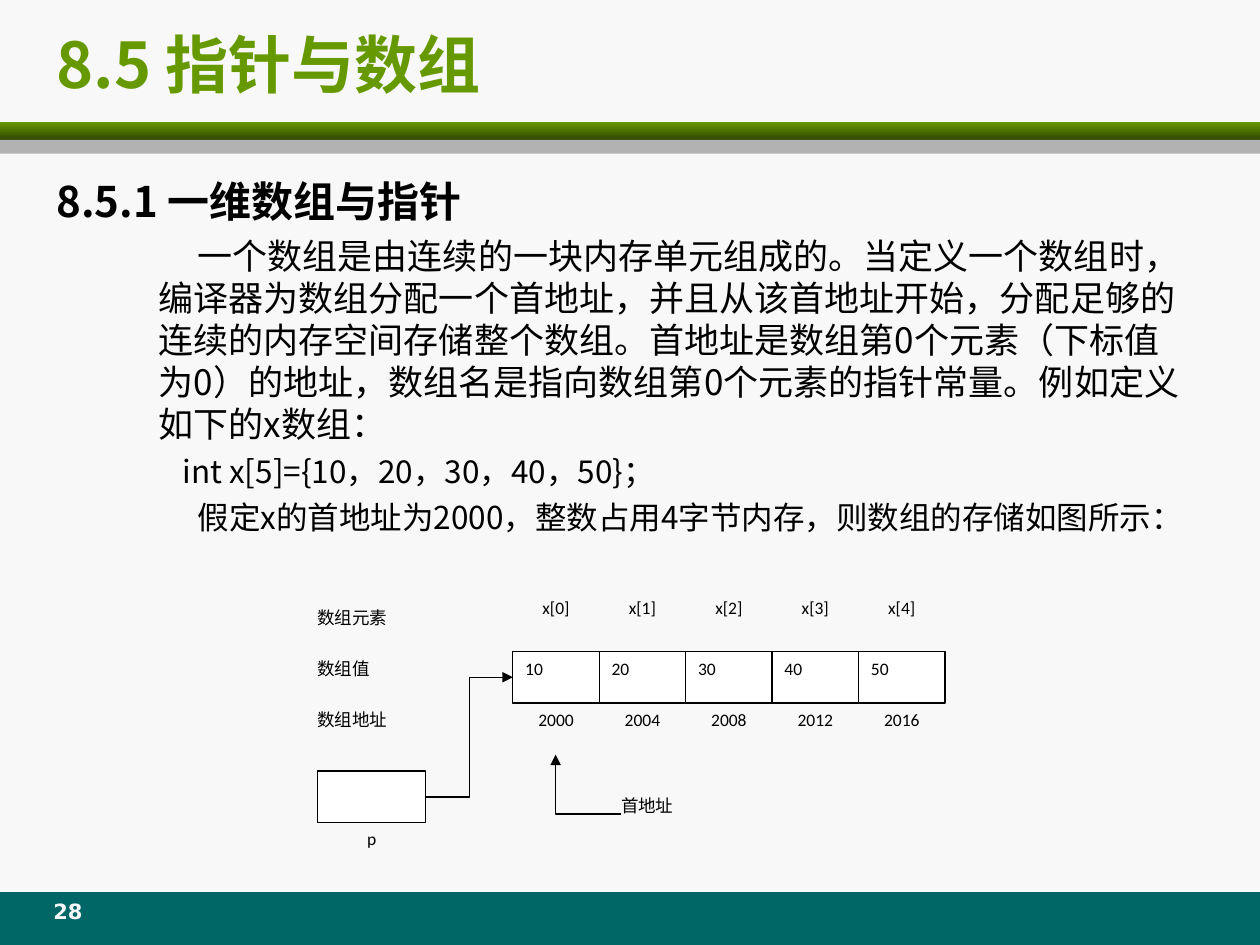
from lxml import etree
from pptx import Presentation
from pptx.dml.color import RGBColor
from pptx.enum.shapes import MSO_CONNECTOR as Connector, MSO_SHAPE as Shape
from pptx.enum.text import MSO_ANCHOR as Anchor, PP_ALIGN as Align
from pptx.oxml.ns import qn
from pptx.util import Inches, Pt

COLORS = {
    "background": "F8F8F8", "footer": "006666", "green": "669900",
    "dark_green": "2F4700", "gray": "B2B2B2", "black": "000000", "white": "FFFFFF",
}
CJK_FONT = "Noto Sans CJK SC"
CELL_LEFT, CELL_WIDTH, ROW_HEIGHT = 4.07, 0.686, 0.41
LABEL_LEFT, LABEL_WIDTH = 2.52, 0.86
VALUE_TOP, ADDRESS_TOP = 5.17, 5.58


def color(name):
    return RGBColor.from_string(COLORS[name])


def add_rectangle(slide, left, top, width, height, fill, line=None):
    shape = slide.shapes.add_shape(
        Shape.RECTANGLE, Inches(left), Inches(top), Inches(width), Inches(height))
    shape.shadow.inherit = False
    shape.fill.solid()
    shape.fill.fore_color.rgb = color(fill)
    if line:
        shape.line.color.rgb = color(line)
        shape.line.width = Pt(0.75)
    else:
        shape.line.fill.background()
    return shape


def add_gradient_bar(slide, left, top, width, height, colors):
    bar = add_rectangle(slide, left, top, width, height, colors[0])
    bar.fill.gradient()
    bar.fill.gradient_angle = 270
    for stop, name in zip(bar.fill.gradient_stops, colors):
        stop.color.rgb = color(name)


def add_textbox(slide, left, top, width, height, side_inset=0.1):
    box = slide.shapes.add_textbox(
        Inches(left), Inches(top), Inches(width), Inches(height))
    box.text_frame.word_wrap = True
    box.text_frame.margin_left = box.text_frame.margin_right = Inches(side_inset)
    return box


def write(paragraph, text, size=10, font="Calibri", east_asian=CJK_FONT,
          fill="black", bold=False, align=None, left=0, indent=0,
          before=0, line_height=None):
    """Fill a paragraph; left and indent are inches, the other sizes points."""
    properties = paragraph._p.get_or_add_pPr()
    properties.set("marL", str(Inches(left)))
    properties.set("indent", str(Inches(indent)))
    paragraph.alignment = align
    paragraph.space_before = Pt(before)
    if line_height:
        paragraph.line_spacing = Pt(line_height)
    run = paragraph.add_run()
    run.text = text
    run.font.size, run.font.bold, run.font.name = Pt(size), bold, font
    run.font.color.rgb = color(fill)
    etree.SubElement(run._r.rPr, qn("a:ea")).set("typeface", east_asian)


def add_label(slide, text, left, top, width, align=Align.CENTER):
    box = add_textbox(slide, left, top, width, ROW_HEIGHT, side_inset=0)
    write(box.text_frame.paragraphs[0], text, align=align)


def add_elbow_arrow(slide, start, end, preset="bentConnector3"):
    points = [Inches(value) for value in (*start, *end)]
    arrow = slide.shapes.add_connector(Connector.ELBOW, *points)
    arrow.line.color.rgb = color("black")
    arrow.line.width = Pt(0.75)
    properties = arrow._element.spPr
    properties.find(qn("a:prstGeom")).set("prst", preset)
    etree.SubElement(arrow.line._get_or_add_ln(), qn("a:tailEnd")).set("type", "triangle")
    etree.SubElement(properties, qn("a:effectLst"))
    return arrow


def add_frame(slide):
    slide.background.fill.solid()
    slide.background.fill.fore_color.rgb = color("background")
    add_rectangle(slide, 0, 7.08, 10, 0.42, "footer")
    add_gradient_bar(slide, 0, 0.97, 10, 0.14, ("green", "dark_green"))
    add_rectangle(slide, 0, 1.11, 10, 0.11, "gray")

    title = add_textbox(slide, 0.35, 0.21, 8.72, 0.59).text_frame
    title.vertical_anchor = Anchor.MIDDLE
    write(title.paragraphs[0], "8.5 指针与数组", size=36, font="Noto Sans CJK JP",
          east_asian="Noto Sans CJK JP", fill="green", bold=True)

    number = add_textbox(slide, 0.25, 7.08, 0.58, 0.33).text_frame
    write(number.paragraphs[0], "28", size=12, font="DejaVu Sans",
          fill="background", bold=True, align=Align.CENTER)


def add_body(slide):
    prose = {"left": 0.81, "indent": 0.31}
    paragraphs = [
        ("8.5.1 一维数组与指针",
         {"size": 24, "bold": True, "left": 0.38, "indent": -0.38, "line_height": 31}),
        ("一个数组是由连续的一块内存单元组成的。当定义一个数组时，编译器为数组分配一个首地址，"
         "并且从该首地址开始，分配足够的连续的内存空间存储整个数组。首地址是数组第0个元素"
         "（下标值为0）的地址，数组名是指向数组第0个元素的指针常量。例如定义如下的x数组：",
         {**prose, "size": 20, "before": 5, "line_height": 24}),
        ("int x[5]={10，20，30，40，50}；",
         {"size": 18, "left": 1.25, "indent": -0.25, "before": 4.5, "line_height": 21.6}),
        ("假定x的首地址为2000，整数占用4字节内存，则数组的存储如图所示：",
         {**prose, "size": 18, "before": 4.5, "line_height": 21.6}),
    ]
    frame = add_textbox(slide, 0.35, 1.31, 9.21, 5.69).text_frame
    for index, (text, style) in enumerate(paragraphs):
        paragraph = frame.add_paragraph() if index else frame.paragraphs[0]
        write(paragraph, text, font=CJK_FONT, **style)


def add_array_cells(slide):
    """Draw the array with its indexes and addresses; return the first cell."""
    cells = []
    for index in range(5):
        left = CELL_LEFT + index * CELL_WIDTH
        cell = add_rectangle(
            slide, left, VALUE_TOP, CELL_WIDTH, ROW_HEIGHT, "white", "black")
        cell.text_frame.vertical_anchor = Anchor.TOP
        write(cell.text_frame.paragraphs[0], str(10 * (index + 1)), align=Align.JUSTIFY)
        add_label(slide, f"x[{index}]", left, 4.69, CELL_WIDTH)
        add_label(slide, str(2000 + 4 * index), left, ADDRESS_TOP, CELL_WIDTH)
        cells.append(cell)
    return cells[0]


def add_memory_diagram(slide):
    first_cell = add_array_cells(slide)
    side_labels = [
        ("数组元素", LABEL_LEFT, 4.77), ("数组值", LABEL_LEFT, VALUE_TOP),
        ("数组地址", LABEL_LEFT, ADDRESS_TOP), ("首地址", 4.93, 6.26),
    ]
    for text, left, top in side_labels:
        add_label(slide, text, left, top, LABEL_WIDTH, Align.JUSTIFY)
    add_elbow_arrow(slide, (4.93, 6.46), (4.41, 5.99), "bentConnector2")

    pointer = add_rectangle(
        slide, LABEL_LEFT, 6.12, LABEL_WIDTH, ROW_HEIGHT, "white", "black")
    add_label(slide, "p", LABEL_LEFT, 6.52, LABEL_WIDTH)
    pointer_arrow = add_elbow_arrow(slide, (3.38, 6.32), (4.07, 5.37))
    pointer_arrow.begin_connect(pointer, 3)
    pointer_arrow.end_connect(first_cell, 1)


def main():
    presentation = Presentation()
    presentation.slide_width, presentation.slide_height = Inches(10), Inches(7.5)
    slide = presentation.slides.add_slide(presentation.slide_layouts[6])
    add_frame(slide)
    add_body(slide)
    add_memory_diagram(slide)
    presentation.save("out.pptx")


if __name__ == "__main__":
    main()
